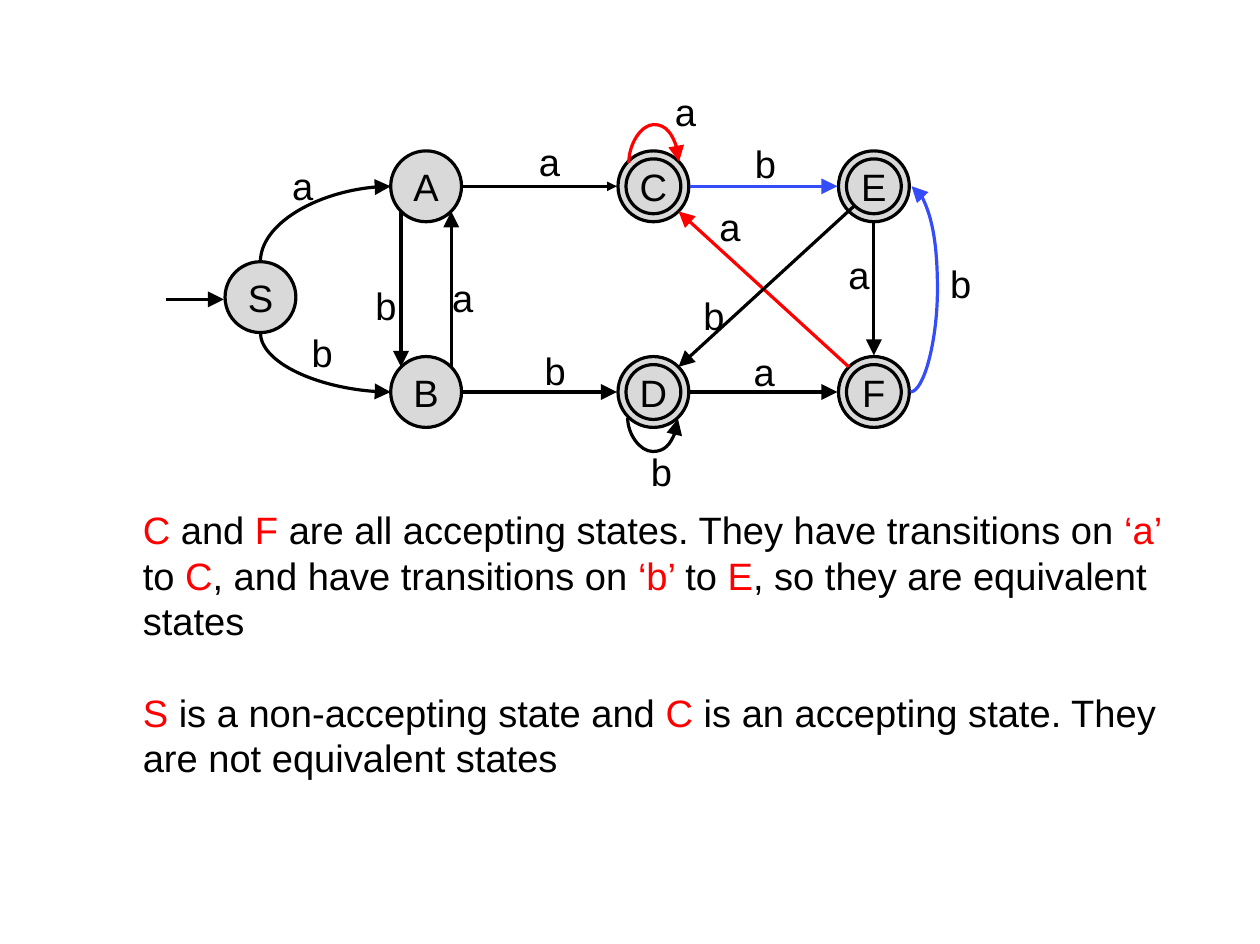
from lxml.etree import SubElement
from pptx import Presentation
from pptx.dml.color import RGBColor
from pptx.enum.shapes import MSO_CONNECTOR, MSO_SHAPE
from pptx.enum.text import MSO_ANCHOR, PP_ALIGN
from pptx.oxml.ns import qn
from pptx.util import Inches, Pt

BLACK, RED, BLUE, GREY = "000000", "FF0000", "354CF9", "D9D9D9"
color = RGBColor.from_string


def write_symbol(holder, symbol):
    frame = holder.text_frame
    frame.word_wrap = False
    frame.vertical_anchor = MSO_ANCHOR.MIDDLE
    frame.text = symbol
    paragraph = frame.paragraphs[0]
    paragraph.alignment = PP_ALIGN.CENTER
    font = paragraph.runs[0].font
    font.name, font.size = "Arial", Pt(24)
    font.color.rgb = color(BLACK)


def add_arrow(kind, start, end, hue, head="lg"):
    arrow = slide.shapes.add_connector(kind, *map(Inches, start + end))
    arrow.line.color.rgb = color(hue)
    arrow.line.width = Pt(2)
    properties = arrow._element.spPr
    SubElement(properties.find(qn("a:ln")), qn("a:tailEnd"), type="triangle", w=head, len=head)
    SubElement(properties, qn("a:effectLst"))
    return properties


presentation = Presentation()
presentation.slide_width, presentation.slide_height = Inches(11.03), Inches(8.26)
slide = presentation.slides.add_slide(presentation.slide_layouts[6])

S_X, AB_X, CD_X, EF_X = 2.28, 3.73, 5.72, 7.65
TOP, MIDDLE, BOTTOM = 1.63, 2.6, 3.43
OUTER, INNER = 0.31, 0.24
GAP = OUTER + 0.01
DIAGONAL = 0.22

states = [
    ("S", S_X, MIDDLE, [OUTER]),
    ("A", AB_X, TOP, [OUTER]),
    ("B", AB_X, BOTTOM, [OUTER]),
    ("C", CD_X, TOP, [OUTER, INNER]),
    ("D", CD_X, BOTTOM, [OUTER, INNER]),
    ("E", EF_X, TOP, [OUTER, INNER]),
    ("F", EF_X, BOTTOM, [OUTER, INNER]),
]
for state, x, y, radii in states:
    for radius in radii:
        ring = slide.shapes.add_shape(
            MSO_SHAPE.OVAL, Inches(x - radius), Inches(y - radius), Inches(2 * radius), Inches(2 * radius)
        )
        ring.shadow.inherit = False
        ring.fill.solid()
        ring.fill.fore_color.rgb = color(GREY)
        ring.line.color.rgb = color(BLACK)
        ring.line.width = Pt(2)
    write_symbol(ring, state)

straight_transitions = [
    ((1.45, 2.62), (S_X - GAP, 2.62), BLACK, "lg"),
    ((AB_X + DIAGONAL, BOTTOM - DIAGONAL), (AB_X + DIAGONAL, TOP + DIAGONAL), BLACK, "lg"),
    ((AB_X - DIAGONAL, TOP + DIAGONAL), (AB_X - DIAGONAL, BOTTOM - DIAGONAL), BLACK, "lg"),
    ((AB_X + GAP, TOP), (CD_X - GAP, TOP), BLACK, "med"),
    ((AB_X + GAP, BOTTOM), (CD_X - GAP, BOTTOM), BLACK, "lg"),
    ((CD_X + GAP, TOP), (EF_X - GAP, TOP), BLUE, "lg"),
    ((CD_X + GAP, BOTTOM), (EF_X - GAP, BOTTOM), BLACK, "lg"),
    ((EF_X, TOP + GAP), (EF_X, BOTTOM - GAP), BLACK, "lg"),
    ((EF_X - DIAGONAL, BOTTOM - DIAGONAL), (CD_X + DIAGONAL, TOP + DIAGONAL), RED, "lg"),
    ((7.48, 1.8), (CD_X + DIAGONAL, BOTTOM - DIAGONAL), BLACK, "lg"),
]
for start, end, hue, head in straight_transitions:
    add_arrow(MSO_CONNECTOR.STRAIGHT, start, end, hue, head)

curved_transitions = [
    ((2.52, 1.39), (3.18, 2.53), BLACK, 270, None),
    ((3.11, 2.6), (2.59, 3.74), BLACK, 270, None),
    ((7.97, BOTTOM), (7.98, TOP), BLUE, 0, 24),
    ((5.73, 1.64), (5.72, 1.2), RED, 90, 34),
    ((5.72, 3.44), (5.71, 3.88), BLACK, 270, 30),
]
for start, end, hue, turn, bulge in curved_transitions:
    properties = add_arrow(MSO_CONNECTOR.CURVE, start, end, hue)
    properties.find(qn("a:xfrm")).set("rot", str(turn * 60000))
    geometry = properties.find(qn("a:prstGeom"))
    if bulge is None:
        geometry.set("prst", "curvedConnector2")
    else:
        SubElement(geometry.find(qn("a:avLst")), qn("a:gd"), name="adj1", fmla=f"val {bulge * 100000}")

transition_labels = {
    "a": [(6, 0.97), (2.65, 1.62), (4.05, 2.6), (4.81, 1.41), (7.52, 2.4), (6.69, 3.25), (6.39, 1.98)],
    "b": [(8.41, 2.48), (2.82, 3.08), (3.38, 2.67), (4.86, 3.24), (6.7, 1.43), (5.79, 4.12), (6.25, 2.76)],
}
for symbol, centers in transition_labels.items():
    for x, y in centers:
        label = slide.shapes.add_textbox(Inches(x - 0.2), Inches(y - 0.25), Inches(0.4), Inches(0.5))
        write_symbol(label, symbol)

explanation = slide.shapes.add_textbox(Inches(1.14), Inches(4.37), Inches(9.28), Inches(2.53)).text_frame
explanation.word_wrap = True
explanation.margin_left = explanation.margin_right = Inches(0.11)
explanation.margin_top = explanation.margin_bottom = Inches(0.06)
equivalent = [
    ("C", RED), (" and ", BLACK), ("F ", RED),
    ("are all accepting states. They have transitions on ", BLACK), ("‘a’ ", RED),
    ("to ", BLACK), ("C", RED), (", and have transitions on", BLACK), (" ‘b’ ", RED),
    ("to ", BLACK), ("E", RED), (", so they are equivalent states", BLACK),
]
different = [
    ("S", RED), (" is a non-accepting state and ", BLACK), ("C", RED),
    (" is an accepting state. They are not equivalent states", BLACK),
]
for paragraph, phrases in zip((explanation.paragraphs[0], explanation.add_paragraph()), (equivalent, different)):
    paragraph.line_spacing = Pt(28.8)
    for words, hue in phrases:
        run = paragraph.add_run()
        run.text = words
        run.font.name, run.font.size = "Arial", Pt(24)
        run.font.color.rgb = color(hue)
paragraph.space_before = Pt(28.8)

presentation.save("out.pptx")
